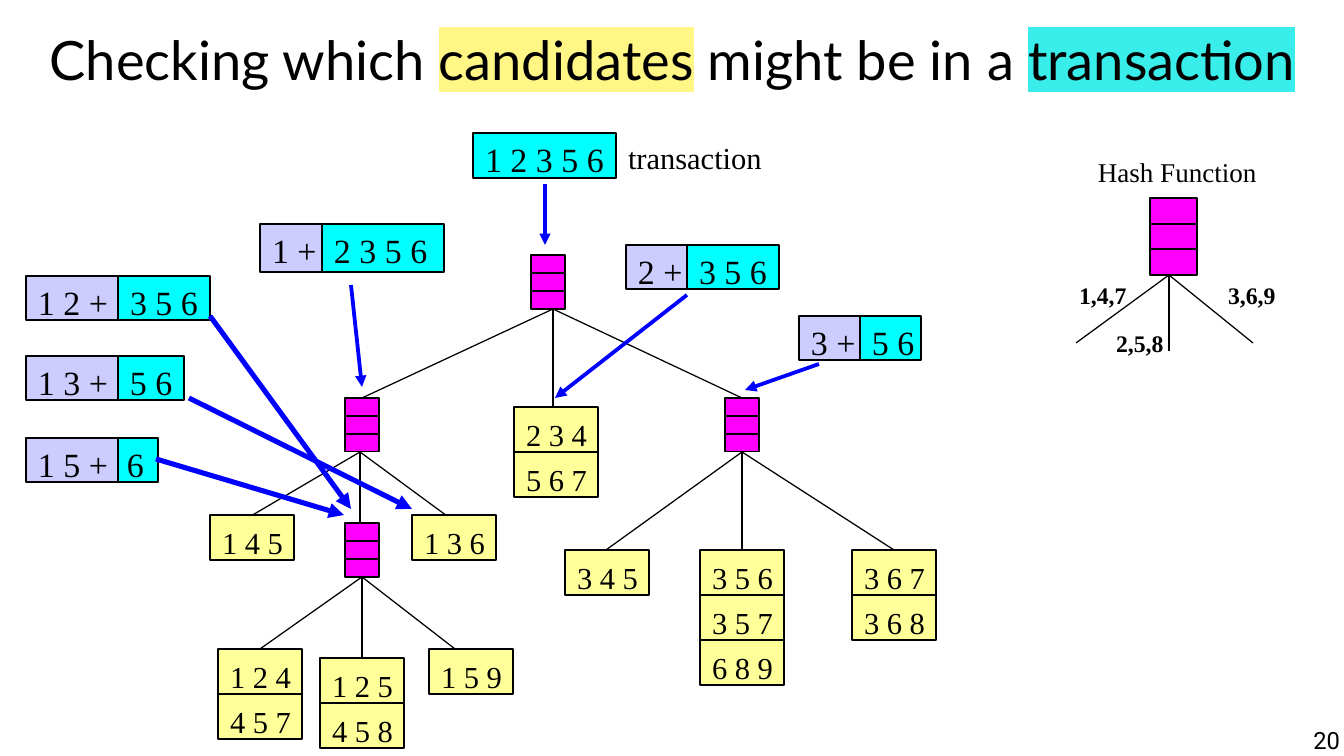
"""Slide: matching a transaction against a hash tree of candidate itemsets."""
from lxml import etree
from pptx import Presentation
from pptx.dml.color import RGBColor
from pptx.enum.shapes import MSO_CONNECTOR, MSO_SHAPE
from pptx.enum.text import MSO_ANCHOR, PP_ALIGN
from pptx.oxml.ns import qn
from pptx.util import Pt

PX = 7495
RECT, STRAIGHT = MSO_SHAPE.RECTANGLE, MSO_CONNECTOR.STRAIGHT
TOP, MIDDLE = MSO_ANCHOR.TOP, MSO_ANCHOR.MIDDLE
LEFT, CENTER, RIGHT = PP_ALIGN.LEFT, PP_ALIGN.CENTER, PP_ALIGN.RIGHT
SERIF = "Times New Roman"
BLACK, BLUE, CYAN = "000000", "0000FF", "00FFFF"
LILAC, YELLOW, MAGENTA = "CCCCFF", "FFFF99", "FF00FF"
rgb = RGBColor.from_string

prs = Presentation()
prs.slide_width, prs.slide_height = 1344 * PX, 756 * PX
s = prs.slides.add_slide(prs.slide_layouts[6])


def box(x, y, w, h, runs=(), size=18, fill=None, font=SERIF, bold=False,
        align=LEFT, anchor=TOP, inset=(0, 0), wrap=True):
    """Add a filled rectangle or a text box; runs are (text, highlight) pairs."""
    at = [v * PX for v in (x, y, w, h)]
    if fill:
        sp = s.shapes.add_shape(RECT, *at)
        sp.shadow.inherit = False
        sp.fill.solid()
        sp.fill.fore_color.rgb = rgb(fill)
        sp.line.color.rgb = rgb(BLACK)
        sp.line.width = Pt(0.75)
    else:
        sp = s.shapes.add_textbox(*at)
    tf = sp.text_frame
    tf.word_wrap = wrap
    tf.vertical_anchor = anchor
    tf.margin_left, tf.margin_top = inset[0] * PX, inset[1] * PX
    tf.margin_right = tf.margin_bottom = 0
    p = tf.paragraphs[0]
    p.alignment = align
    for text, highlight in runs:
        r = p.add_run()
        r.text = text
        r.font.name, r.font.size, r.font.bold = font, Pt(size), bold
        r.font.color.rgb = rgb(BLACK)
        if highlight:
            mark = etree.Element(qn("a:highlight"))
            etree.SubElement(mark, qn("a:srgbClr"), val=highlight)
            r._r.rPr.find(qn("a:solidFill")).addnext(mark)


def line(x1, y1, x2, y2, color=BLACK, width=0.75, arrow=False):
    """Add a straight connector, with an arrowhead at its end if asked."""
    c = s.shapes.add_connector(STRAIGHT, x1 * PX, y1 * PX, x2 * PX, y2 * PX)
    c.line.color.rgb = rgb(color)
    c.line.width = Pt(width)
    if arrow:
        etree.SubElement(c.line._get_or_add_ln(), qn("a:tailEnd"), type="triangle")
    etree.SubElement(c._element.spPr, qn("a:effectLst"))


box(6, 13, 1333, 92,
    [("Checking which ", None), ("candidates", "FFF685"),
     (" might be in a ", None), ("transaction", "39EDEA")],
    size=32, font="Lato", align=CENTER, anchor=MIDDLE)

nodes = [
    (531, 255, 34, 54, 553, [(362, 398), (553, 407), (742, 398)]),
    (345, 398, 34, 54, 360, [(251, 516), (360, 523), (447, 516)]),
    (725, 398, 34, 54, 742, [(606, 550), (742, 550), (894, 550)]),
    (345, 523, 34, 54, 362, [(260, 649), (362, 658), (455, 649)]),
    (1150, 198, 47, 77, 1169, [(1076, 343), (1169, 351), (1253, 343)]),
]
for x, y, w, h, stem, children in nodes:
    for child_x, child_y in children:
        line(stem, y + h, child_x, child_y)
for x, y, w, h, stem, children in nodes:
    box(x, y, w, h, fill=MAGENTA)
    for third in (1, 2):
        y_div = y + round(h * third / 3)
        line(x, y_div, x + w, y_div)

leaves = [
    (210, 515, ["1 4 5"]),
    (412, 515, ["1 3 6"]),
    (218, 649, ["1 2 4", "4 5 7"]),
    (320, 658, ["1 2 5", "4 5 8"]),
    (429, 649, ["1 5 9"]),
    (514, 407, ["2 3 4", "5 6 7"]),
    (565, 550, ["3 4 5"]),
    (700, 550, ["3 5 6", "3 5 7", "6 8 9"]),
    (852, 550, ["3 6 7", "3 6 8"]),
]
for x, y, itemsets in leaves:
    for i, itemset in enumerate(itemsets):
        box(x, y + 45 * i, 84, 45, [(itemset, None)], fill=YELLOW, inset=(12, 9))

box(473, 133, 143, 45, [("1 2 3 5 6", None)], size=20, fill=CYAN, inset=(12, 6))
splits = [
    (260, 224, 48, "1 +", 62, "2 3 5 6", 122, 12),
    (626, 245, 44, "2 +", 61, "3 5 6", 92, 12),
    (799, 316, 44, "3 +", 61, "5 6", 61, 12),
    (26, 276, 44, "1 2 +", 92, "3 5 6", 92, 12),
    (26, 356, 44, "1 3 +", 92, "5 6", 66, 12),
    (26, 438, 44, "1 5 +", 92, "6", 40, 9),
]
for x, y, h, prefix, prefix_w, rest, rest_w, indent in splits:
    box(x + prefix_w, y, rest_w, h, [(rest, None)], size=20, fill=CYAN, inset=(indent, 6))
    box(x, y, prefix_w, h, [(prefix, None)], size=20, fill=LILAC, inset=(12, 6))

arrows = [
    (545, 184, 545, 245, 2.25),
    (351, 285, 362, 387, 2.25),
    (687, 295, 555, 398, 2.25),
    (819, 364, 745, 390, 2.25),
    (210, 316, 351, 509, 3),
    (156, 459, 344, 515, 3),
    (189, 398, 412, 509, 3),
]
for x1, y1, x2, y2, width in arrows:
    line(x1, y1, x2, y2, BLUE, width, arrow=True)

labels = [
    (616, 133, 157, 49, "transaction", 18, False),
    (1086, 149, 183, 45, "Hash Function", 16, False),
    (1067, 275, 72, 40, "1,4,7", 14, True),
    (1104, 323, 72, 40, "2,5,8", 14, True),
    (1216, 275, 72, 40, "3,6,9", 14, True),
]
for x, y, w, h, text, size, bold in labels:
    box(x, y, w, h, [(text, None)], size=size, bold=bold, inset=(12, 6), wrap=False)

box(1027, 726, 313, 30, [("20", None)], size=14, font="Roboto", align=RIGHT)

prs.save("out.pptx")
